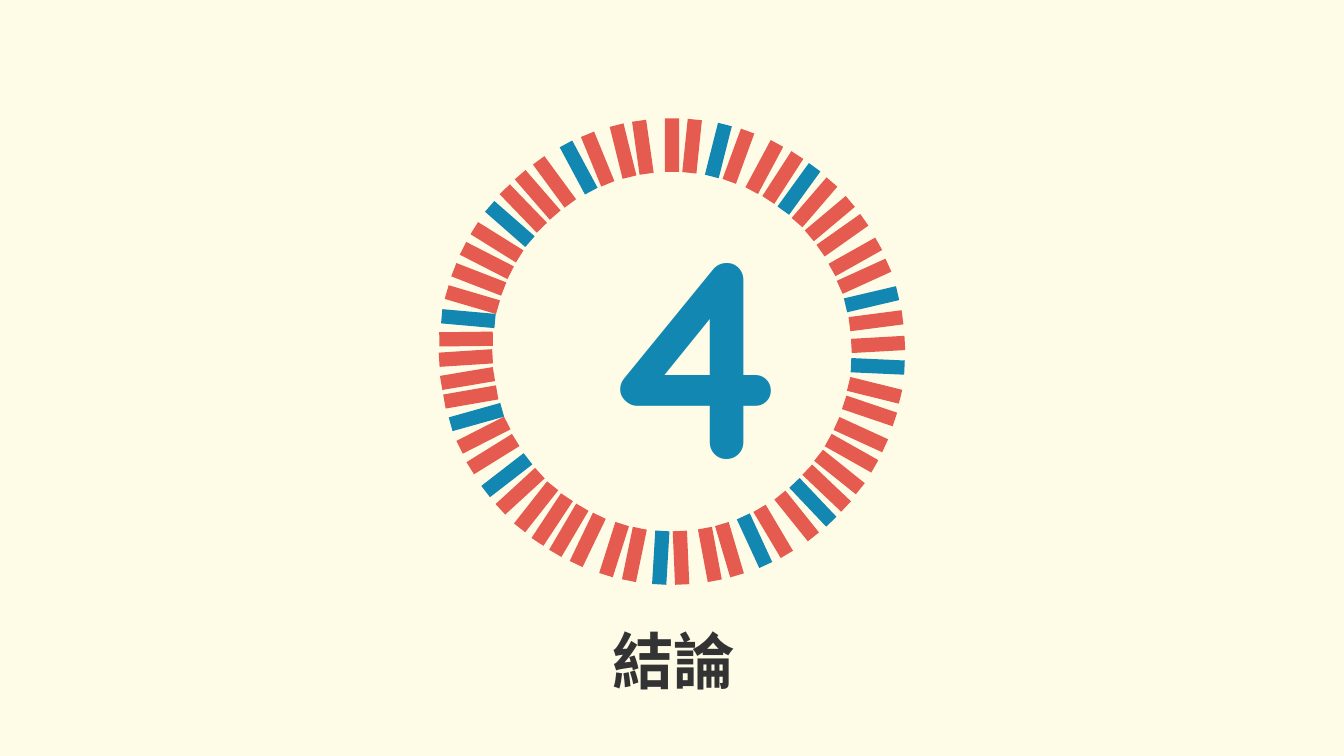
"""Build the section page with a ring of bars around its number."""
import math
from dataclasses import dataclass, field

from pptx import Presentation
from pptx import util as u
from pptx.dml.color import RGBColor
from pptx.enum import shapes, text

COLOURS = {"cream": "FEFBE7", "red": "E65B4F", "blue": "1187B1", "dark": "333333"}
FONT = "Quicksand"
CENTRE_X, CENTRE_Y, RADIUS = 16.94, 8.86, 5.2
BAR_WIDTH, BAR_LENGTH = 0.36, 1.35


@dataclass(frozen=True)
class Bar:
    """Angle and tilt of a bar, in degrees away from the vertical."""
    angle: float
    tilt: float


@dataclass(frozen=True)
class Arc:
    """A mirrored and turned run of bars, with slips of single bars in degrees."""
    right: int
    up: int
    turn: float
    blue: tuple[int, ...] = ()
    first: int = 0
    slips: dict[int, float] = field(default_factory=dict)


BARS = [
    Bar(0, 0), Bar(5.6, 5.9), Bar(13, 14.2), Bar(18.8, 20.1), Bar(26.6, 28.2),
    Bar(32.5, 32.9), Bar(38, 35.9), Bar(43.7, 40.7), Bar(49.9, 50), Bar(55.7, 54.8),
    Bar(62.7, 60.7), Bar(68.6, 65.5), Bar(75.3, 76.8), Bar(81.4, 82.6),
]
ARCS = [
    Arc(1, 1, 0, blue=(2, 6, 12)),
    Arc(-1, 1, 8.1, blue=(3, 7, 12), slips={10: -1.3, 11: -1.3, 12: -2.6, 13: -3}),
    Arc(1, -1, 10.6, blue=(2, 5, 12)),
    Arc(-1, -1, -2.5, blue=(1, 9, 12), slips={12: -1.3, 13: -1.6}),
    Arc(-1, -1, 3.7, first=12, slips={12: 3.5, 13: 3.1}),
]


def colour(name: str) -> RGBColor:
    """Return a named colour."""
    return RGBColor.from_string(COLOURS[name])


def draw_arc(ring, arc: Arc) -> None:
    """Draw the bars of one arc into the ring."""
    for index, bar in enumerate(BARS[arc.first:], arc.first):
        angle = math.radians(bar.angle + arc.turn + arc.slips.get(index, 0))
        x = CENTRE_X + arc.right * RADIUS * math.sin(angle)
        y = CENTRE_Y - arc.up * RADIUS * math.cos(angle)
        shape = ring.shapes.add_shape(
            shapes.MSO_SHAPE.RECTANGLE,
            u.Cm(x - BAR_WIDTH / 2), u.Cm(y - BAR_LENGTH / 2),
            u.Cm(BAR_WIDTH), u.Cm(BAR_LENGTH))
        shape.rotation = arc.right * arc.up * (bar.tilt + arc.turn)
        shape.shadow.inherit = False
        shape.fill.solid()
        shape.fill.fore_color.rgb = colour("blue" if index in arc.blue else "red")
        shape.line.fill.background()


def write(box, words: str, *, size: float, ink: str, wrap: bool = True,
          spacing: float = 1.0) -> None:
    """Fill a box with one centred bold paragraph."""
    frame = box.text_frame
    frame.word_wrap = wrap
    frame.auto_size = text.MSO_AUTO_SIZE.SHAPE_TO_FIT_TEXT
    frame.vertical_anchor = text.MSO_ANCHOR.TOP
    para = frame.paragraphs[0]
    para.alignment = text.PP_ALIGN.CENTER
    para.line_spacing = spacing
    span = para.add_run()
    span.text = words
    span.font.name = FONT
    span.font.size = u.Pt(size)
    span.font.bold = True
    span.font.color.rgb = colour(ink)


def main() -> None:
    """Build and save the deck."""
    deck = Presentation()
    deck.slide_width, deck.slide_height = u.Cm(33.88), u.Cm(19.05)
    page = deck.slides.add_slide(deck.slide_layouts[5])
    page.background.fill.solid()
    page.background.fill.fore_color.rgb = colour("cream")

    ring = page.shapes.add_group_shape()
    for arc in ARCS:
        draw_arc(ring, arc)

    number = page.shapes.add_textbox(u.Cm(14.76), u.Cm(4.39), u.Cm(4.5), u.Cm(8.81))
    write(number, "4", size=200, ink="blue", wrap=False)

    title = page.shapes.title
    title.left, title.top = u.Cm(13.72), u.Cm(15.39)
    title.width, title.height = u.Cm(6.53), u.Cm(2.18)
    write(title, "結論", size=44, ink="dark", spacing=1.1)

    deck.save("out.pptx")


if __name__ == "__main__":
    main()
